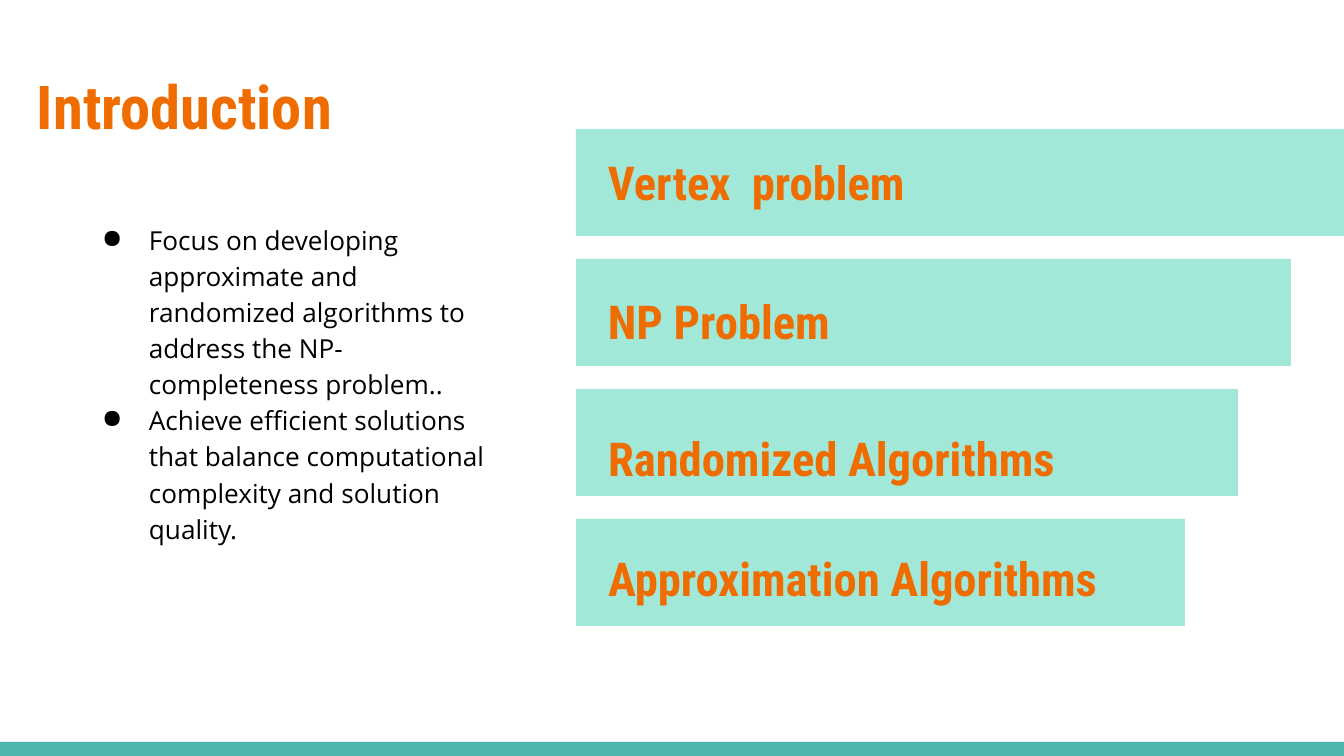
import pptx
import pptx.dml.color
import pptx.enum.shapes
import pptx.enum.text
import pptx.oxml.ns
import pptx.util
from lxml import etree

PX = 914400 / 134.4
ORANGE = "EF6C00"
MINT = "A1E8D9"
TEAL = "4DB6AC"
BLACK = "000000"


def px(length):
    return pptx.util.Emu(round(length * PX))


def colour(value):
    return pptx.dml.color.RGBColor.from_string(value)


def add_bar(slide, left, top, width, height, fill):
    bar = slide.shapes.add_shape(
        pptx.enum.shapes.MSO_SHAPE.RECTANGLE, px(left), px(top), px(width), px(height))
    bar.shadow.inherit = False
    bar.fill.solid()
    bar.fill.fore_color.rgb = colour(fill)
    bar.line.fill.background()


def add_text(slide, box, text, font, size, ink, bold=False, spacing=1.0, inset=13):
    frame = slide.shapes.add_textbox(*map(px, box)).text_frame
    frame.word_wrap = True
    frame.margin_left = frame.margin_right = px(13)
    frame.margin_top = frame.margin_bottom = px(inset)
    frame.text = text
    for paragraph in frame.paragraphs:
        paragraph.line_spacing = spacing
        for run in paragraph.runs:
            run.font.name = font
            run.font.size = pptx.util.Pt(size)
            run.font.bold = bold
            run.font.color.rgb = colour(ink)
    return frame


def add_title(slide, left, top, width, height):
    add_text(slide, (left, top, width, height), "Introduction",
             "Roboto Condensed", 32.4, ORANGE, bold=True)


def add_goals(slide, left, top, width, height):
    goals = [
        "Focus on developing approximate and randomized algorithms to address the NP-completeness problem..",
        "Achieve efficient solutions that balance computational complexity and solution quality.",
    ]
    frame = add_text(slide, (left, top, width, height), "\n".join(goals),
                     "Open Sans", 14, BLACK, spacing=1.15)
    for paragraph in frame.paragraphs:
        properties = paragraph._p.get_or_add_pPr()
        properties.set("marL", str(px(67)))
        properties.set("indent", str(px(-47)))
        bullet = etree.SubElement(properties, pptx.oxml.ns.qn("a:buChar"))
        bullet.set("char", "●")


def add_topics(slide, left, top, width):
    bar_height, pitch, step = 107, 130, 53
    topics = [
        ("Vertex  problem", 56, 0.9),
        ("NP Problem", 65, 0.9),
        ("Randomized Algorithms", 65, 1.15),
        ("Approximation Algorithms", 55, 1.15),
    ]
    for row, (topic, middle, spacing) in enumerate(topics):
        bar_top = top + row * pitch
        bar_width = width - row * step
        add_bar(slide, left, bar_top, bar_width, bar_height, MINT)
        label_box = (left + 19, bar_top + middle - 24, bar_width - 38, 48)
        label = add_text(slide, label_box, topic, "Roboto Condensed", 25, ORANGE,
                         bold=True, spacing=spacing, inset=7)
        label.vertical_anchor = pptx.enum.text.MSO_ANCHOR.MIDDLE


def main():
    deck = pptx.Presentation()
    deck.slide_width = px(1344)
    deck.slide_height = px(756)
    slide = deck.slides.add_slide(deck.slide_layouts[6])
    add_bar(slide, 0, 742, 1344, 14, TEAL)
    add_title(slide, 24, 56, 1253, 103)
    add_topics(slide, 576, 129, 768)
    add_goals(slide, 69, 207, 454, 419)
    deck.save("out.pptx")


if __name__ == "__main__":
    main()
